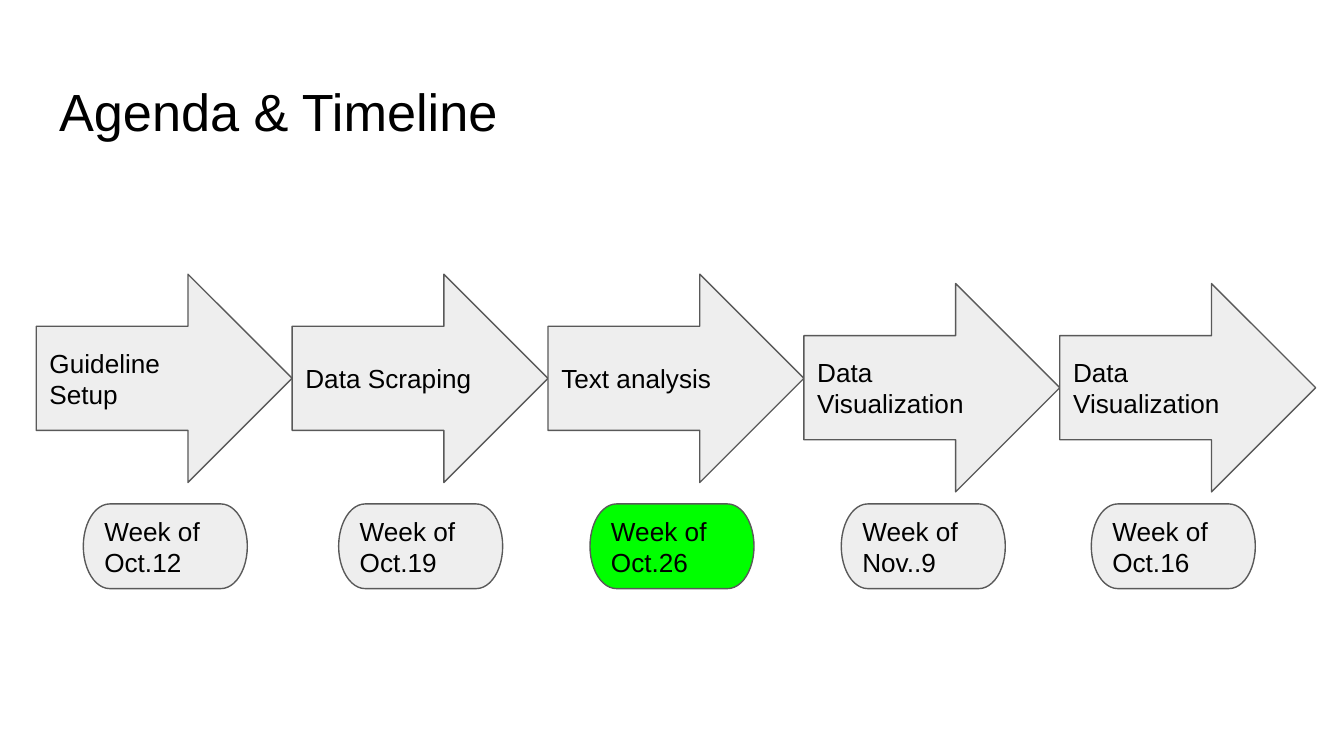
from pptx import Presentation
from pptx.dml.color import RGBColor
from pptx.enum.shapes import MSO_SHAPE as SHAPE
from pptx.enum.text import MSO_ANCHOR as ANCHOR, PP_ALIGN as ALIGN
from pptx.util import Inches, Pt

BLACK = RGBColor(0x00, 0x00, 0x00)
GRAY = RGBColor(0xEE, 0xEE, 0xEE)
OUTLINE = RGBColor(0x59, 0x59, 0x59)
GREEN = RGBColor(0x00, 0xFF, 0x00)

FRAME = {"margin_left": Inches(0.1), "margin_right": Inches(0.1),
         "margin_top": Inches(0.1), "margin_bottom": Inches(0.1),
         "word_wrap": True}

# Step, arrow drop, week, week's left offset in the timeline, fill
STEPS = [
    ("Guideline Setup", 0, "Week of Oct.12", 0.35, GRAY),
    ("Data Scraping", 0, "Week of Oct.19", 2.25, GRAY),
    ("Text analysis", 0, "Week of Oct.26", 4.12, GREEN),
    ("Data Visualization", 0.07, "Week of Nov..9", 5.99, GRAY),
    ("Data Visualization", 0.07, "Week of Oct.16", 7.85, GRAY),
]


def write_text(s, text, size, anchor):
    tf = s.text_frame
    for name, value in {**FRAME, "vertical_anchor": anchor}.items():
        setattr(tf, name, value)
    p = tf.paragraphs[0]
    p.alignment = ALIGN.LEFT
    r = p.add_run()
    r.text = text
    for name, value in {"name": "Arial", "size": Pt(size)}.items():
        setattr(r.font, name, value)
    r.font.color.rgb = BLACK


def add_title(slide, left, top, width, height):
    sp = slide.shapes.title
    box = {"left": left, "top": top, "width": width, "height": height}
    for name, value in box.items():
        setattr(sp, name, Inches(value))
    write_text(sp, "Agenda & Timeline", 28, ANCHOR.TOP)


def add_block(slide, kind, left, top, width, height, text, fill):
    sp = slide.shapes.add_shape(kind, Inches(left), Inches(top),
                                Inches(width), Inches(height))
    sp.shadow.inherit = False
    sp.fill.solid()
    sp.fill.fore_color.rgb = fill
    sp.line.color.rgb = OUTLINE
    sp.line.width = Pt(0.75)
    write_text(sp, text, 14, ANCHOR.MIDDLE)


def add_timeline(slide, left, top, width):
    step_width = width / len(STEPS)
    # Arrows, tip to tail
    for i, (step, drop, *_) in enumerate(STEPS):
        add_block(slide, SHAPE.RIGHT_ARROW, left + i * step_width, top + drop,
                  step_width, 1.55, step, GRAY)
    # Weeks below the arrows, the current one in green
    for _, _, week, offset, fill in STEPS:
        add_block(slide, SHAPE.FLOWCHART_TERMINATOR, left + offset, top + 1.71,
                  1.22, 0.63, week, fill)


def main():
    prs = Presentation()
    prs.slide_width = Inches(10)
    prs.slide_height = prs.slide_width * 9 // 16  # widescreen
    slide = prs.slides.add_slide(prs.slide_layouts[5])  # title only
    add_title(slide, 0.34, 0.49, 9.32, 0.63)
    add_timeline(slide, 0.27, 2.04, 9.52)
    prs.save("out.pptx")


if __name__ == "__main__":
    main()
